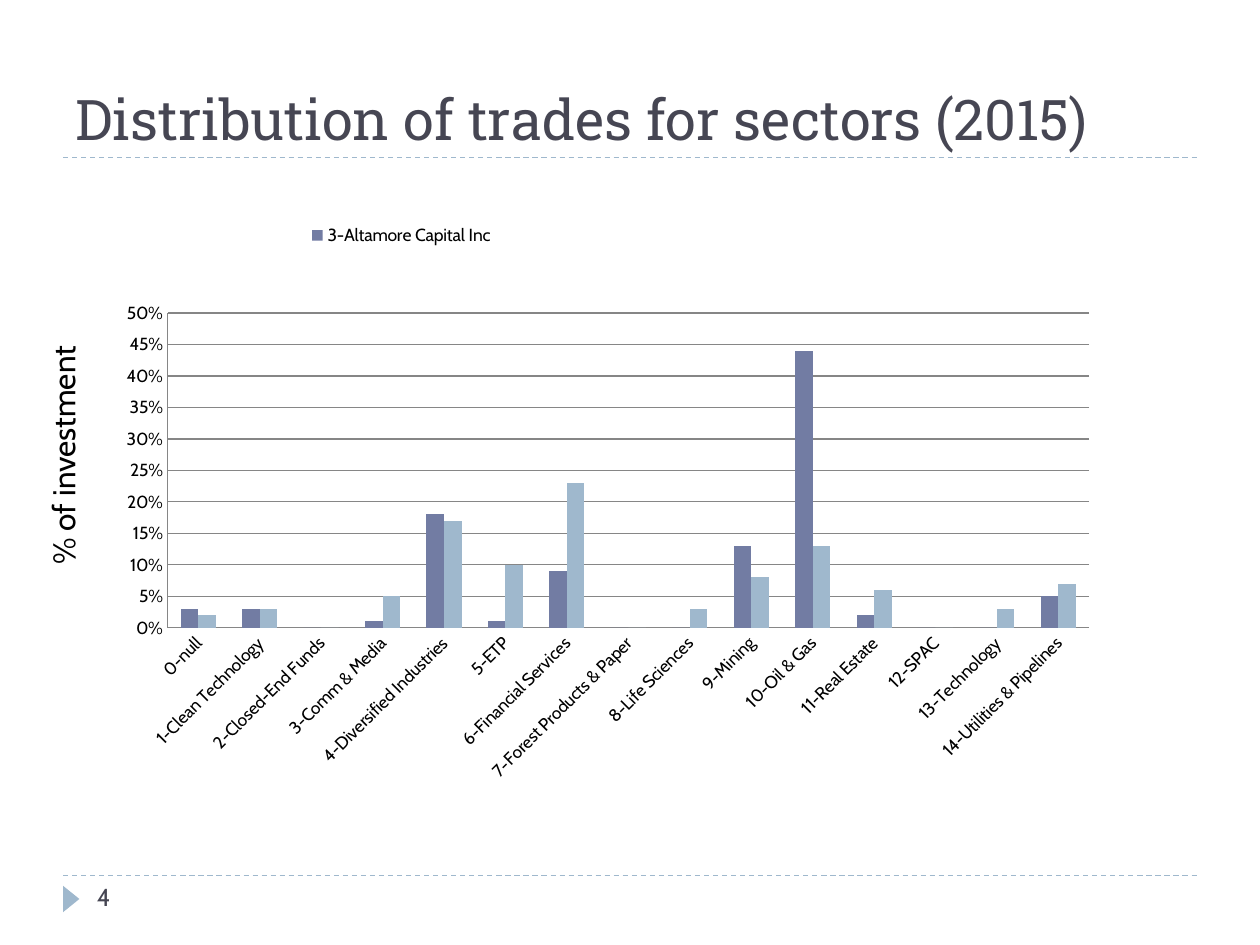
from dataclasses import dataclass

import pptx
import pptx.chart.data
import pptx.dml.color
import pptx.enum.chart
import pptx.enum.dml
import pptx.enum.shapes
import pptx.enum.text
import pptx.oxml
import pptx.oxml.ns
import pptx.util

WIDTH, HEIGHT = 10, 7.5
COLORS = {
    "ink": "464653",
    "black": "000000",
    "grid": "868686",
    "slate": "727CA3",
    "sky": "9FB8CD",
}
BODY_FONT, TITLE_FONT = "Cabin", "Roboto Slab"
ANCHOR = pptx.enum.text.MSO_ANCHOR

SECTORS = [
    "0-null", "1-Clean Technology", "2-Closed-End Funds", "3-Comm & Media",
    "4-Diversified Industries", "5-ETP", "6-Financial Services",
    "7-Forest Products & Paper", "8-Life Sciences", "9-Mining",
    "10-Oil & Gas", "11-Real Estate", "12-SPAC", "13-Technology",
    "14-Utilities & Pipelines",
]


@dataclass(frozen=True)
class Box:
    """Left, top, width and height as shares of the slide."""
    left: float
    top: float
    width: float
    height: float

    def emu(self) -> tuple:
        return (across(self.left), down(self.top), across(self.width), down(self.height))


@dataclass(frozen=True)
class Label:
    text: str
    box: Box
    size: int
    font: str = BODY_FONT
    color: str = "ink"
    anchor: ANCHOR = ANCHOR.TOP
    rotation: int = 0


@dataclass(frozen=True)
class Broker:
    """One set of columns; a broker without a name stays out of the legend."""
    color: str
    shares: tuple
    name: str = ""


LABELS = [
    Label("Distribution of trades for sectors (2015)",
          Box(0.05, 0.17 / HEIGHT, 0.9, 1.08 / HEIGHT), 32, TITLE_FONT, anchor=ANCHOR.BOTTOM),
    Label("4", Box(0.067, 6.95 / HEIGHT, 0.217, 0.4 / HEIGHT), 14),
    Label("% of investment", Box(-0.05, 3.38 / HEIGHT, 0.2, 0.4 / HEIGHT), 18,
          color="black", rotation=270),
]
RULES = [6.95 / HEIGHT, 1.25 / HEIGHT]
BROKERS = [
    Broker("slate",
           (0.03, 0.03, 0, 0.01, 0.18, 0.01, 0.09, 0, 0, 0.13, 0.44, 0.02, 0, 0, 0.05),
           "3-Altamore Capital Inc"),
    Broker("sky",
           (0.02, 0.03, 0, 0.05, 0.17, 0.1, 0.23, 0, 0.03, 0.08, 0.13, 0.06, 0, 0.03, 0.07)),
]


def across(share: float) -> int:
    return pptx.util.Inches(share * WIDTH)


def down(share: float) -> int:
    return pptx.util.Inches(share * HEIGHT)


def rgb(name: str) -> pptx.dml.color.RGBColor:
    return pptx.dml.color.RGBColor.from_string(COLORS[name])


def add_rule(slide, top: float) -> None:
    rule = slide.shapes.add_connector(
        pptx.enum.shapes.MSO_CONNECTOR.STRAIGHT,
        across(0.05), down(top), across(0.95), down(top))
    rule.line.color.rgb = rgb("sky")
    rule.line.width = pptx.util.Pt(0.75)
    rule.line.dash_style = pptx.enum.dml.MSO_LINE.DASH
    rule._element.spPr.append(pptx.oxml.parse_xml(
        f"<a:effectLst {pptx.oxml.ns.nsdecls('a')}/>"))


def add_page_marker(slide) -> None:
    marker = slide.shapes.add_shape(
        pptx.enum.shapes.MSO_SHAPE.ISOSCELES_TRIANGLE,
        *Box(0.046, 7.07 / HEIGHT, 0.021, 0.13 / HEIGHT).emu())
    marker.rotation = 90
    marker.shadow.inherit = False
    marker.fill.solid()
    marker.fill.fore_color.rgb = rgb("sky")
    marker.line.fill.background()


def add_label(slide, label: Label) -> None:
    holder = slide.shapes.add_textbox(*label.box.emu())
    holder.rotation = label.rotation
    frame = holder.text_frame
    frame.word_wrap = True
    frame.vertical_anchor = label.anchor
    run = frame.paragraphs[0].add_run()
    run.text = label.text
    run.font.size = pptx.util.Pt(label.size)
    run.font.name = label.font
    run.font.color.rgb = rgb(label.color)


def set_layout(element, position: int, places: tuple, target: str = "") -> None:
    """Fix a chart part's x, y, width and height, in shares of the chart."""
    for old in element.findall(pptx.oxml.ns.qn("c:layout")):
        element.remove(old)
    sides = "".join(f'<c:{key} val="{value}"/>' for key, value in zip("xywh", places))
    element.insert(position, pptx.oxml.parse_xml(
        f"<c:layout {pptx.oxml.ns.nsdecls('c')}><c:manualLayout>{target}"
        f'<c:xMode val="edge"/><c:yMode val="edge"/>{sides}'
        "</c:manualLayout></c:layout>"))


def style_legend(chart) -> None:
    """Place the legend above the plot and list only named brokers."""
    chart.has_legend = True
    legend = chart.legend
    legend.position = pptx.enum.chart.XL_LEGEND_POSITION.RIGHT
    legend.include_in_layout = False
    set_layout(legend._element, 1, (0.21, 0.04, 0.2, 0.07))
    unnamed = [index for index, broker in enumerate(BROKERS) if not broker.name]
    for place, index in enumerate(unnamed, start=1):
        legend._element.insert(place, pptx.oxml.parse_xml(
            f"<c:legendEntry {pptx.oxml.ns.nsdecls('c')}>"
            f'<c:idx val="{index}"/><c:delete val="1"/></c:legendEntry>'))


def style_axes(chart) -> None:
    for axis in (chart.category_axis, chart.value_axis):
        axis.major_tick_mark = pptx.enum.chart.XL_TICK_MARK.NONE
        axis.minor_tick_mark = pptx.enum.chart.XL_TICK_MARK.NONE
        axis.format.line.color.rgb = rgb("grid")
    sectors, percent = chart.category_axis, chart.value_axis
    sectors.tick_labels.font.size = pptx.util.Pt(10)
    sectors._element.txPr.bodyPr.set("rot", "-2700000")
    percent.minimum_scale, percent.maximum_scale, percent.major_unit = 0, 0.5, 0.05
    percent.has_major_gridlines = True
    percent.major_gridlines.format.line.color.rgb = rgb("grid")
    percent.tick_labels.number_format = "0%"
    percent.tick_labels.number_format_is_linked = False


def add_sector_chart(slide) -> None:
    data = pptx.chart.data.CategoryChartData()
    data.categories = SECTORS
    for broker in BROKERS:
        data.add_series(broker.name, broker.shares)
    chart = slide.shapes.add_chart(
        pptx.enum.chart.XL_CHART_TYPE.COLUMN_CLUSTERED,
        *Box(0.042, 0.2, 0.892, 4.92 / HEIGHT).emu(), data).chart
    chart.has_title = False
    chart.font.name = BODY_FONT
    chart.font.size = pptx.util.Pt(10)
    chart.font.color.rgb = rgb("black")
    plot = chart.plots[0]
    plot.gap_width, plot.overlap = 150, 0
    plot.vary_by_categories = False
    for series, broker in zip(plot.series, BROKERS):
        series.format.fill.solid()
        series.format.fill.fore_color.rgb = rgb(broker.color)
        series.invert_if_negative = False
    style_axes(chart)
    style_legend(chart)
    set_layout(chart._chartSpace.chart.plotArea, 0, (0.102, 0.2, 0.82, 0.508),
               '<c:layoutTarget val="inner"/>')


def main() -> None:
    deck = pptx.Presentation()
    deck.slide_width, deck.slide_height = across(1), down(1)
    slide = deck.slides.add_slide(deck.slide_layouts[6])
    for top in RULES:
        add_rule(slide, top)
    add_page_marker(slide)
    title, page_number, axis_title = LABELS
    add_label(slide, title)
    add_label(slide, page_number)
    add_sector_chart(slide)
    add_label(slide, axis_title)
    deck.save("out.pptx")


if __name__ == "__main__":
    main()
